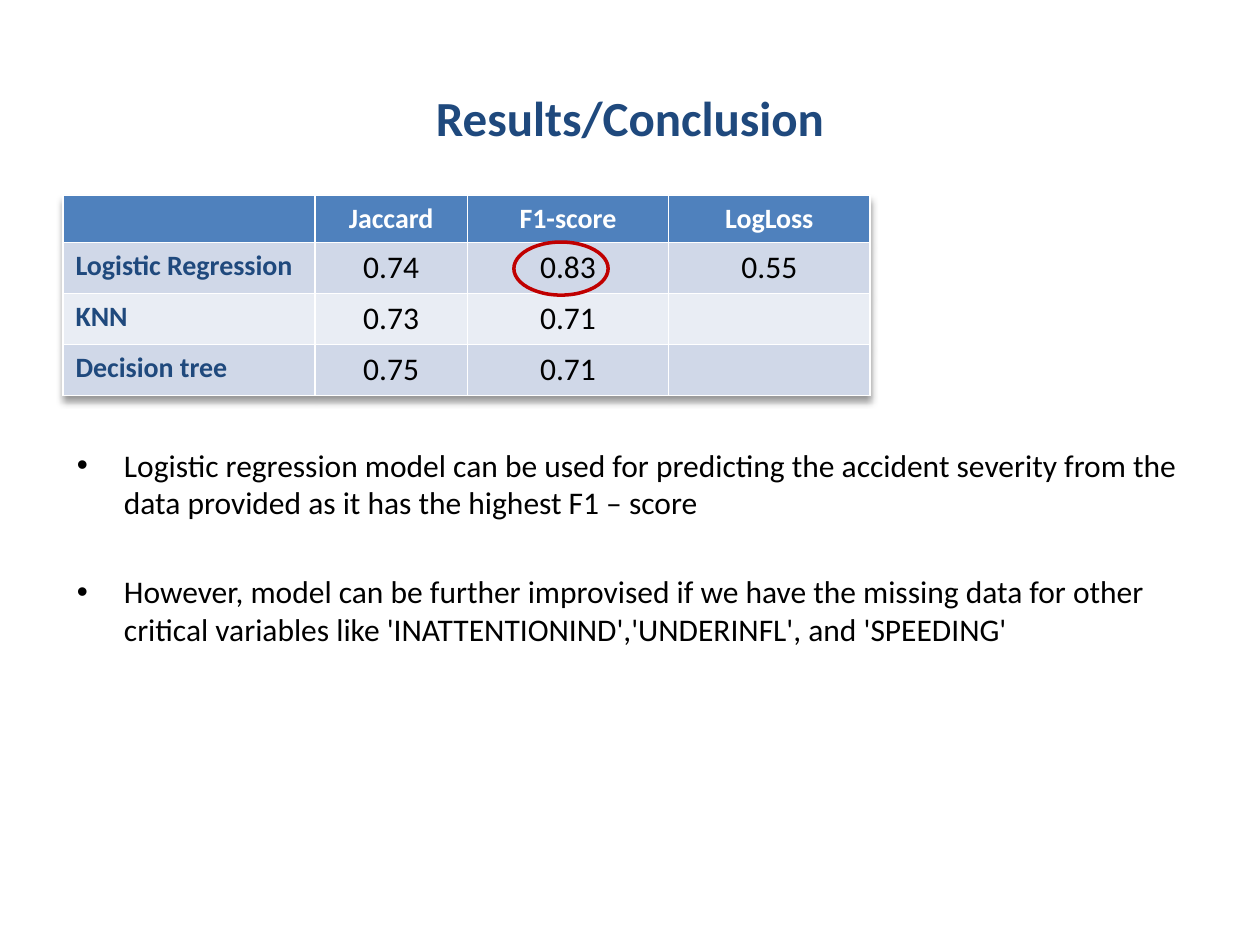
import dataclasses
import typing

import lxml.etree
import pptx
import pptx.dml.color
import pptx.enum.shapes
import pptx.enum.text
import pptx.oxml
import pptx.oxml.ns
import pptx.util

Cm = pptx.util.Cm
Pt = pptx.util.Pt
Align = pptx.enum.text.PP_ALIGN
Anchor = pptx.enum.text.MSO_ANCHOR

NAVY = "1F497D"
BLUE = "4F81BD"
BANDS = ("D0D8E8", "E9EDF4")
WHITE = "FFFFFF"
BLACK = "000000"
RED = "C00000"

COLUMN_WIDTHS = (5.08, 3.07, 4.06, 4.06)
HEADER_HEIGHT = 0.94
ROW_HEIGHT = 1.03
HEADERS = ("", "Jaccard", "F1-score", "LogLoss")
CONCLUSIONS = (
    "Logistic regression model can be used for predicting the accident severity "
    "from the data provided as it has the highest F1 – score",
    "However, model can be further improvised if we have the missing data for other "
    "critical variables like 'INATTENTIONIND','UNDERINFL', and 'SPEEDING'",
)


@dataclasses.dataclass(frozen=True)
class Result:
    model: str
    scores: typing.Tuple[str, str, str]


RESULTS = (
    Result("Logistic Regression", ("0.74", "0.83", "0.55")),
    Result("KNN", ("0.73", "0.71", "")),
    Result("Decision tree", ("0.75", "0.71", "")),
)


def color(value: str) -> pptx.dml.color.RGBColor:
    return pptx.dml.color.RGBColor.from_string(value)


def write(para, text: str, *, size: float = 18, fill: str = BLACK,
          bold: bool = False, align=Align.LEFT) -> None:
    para.alignment = align
    span = para.add_run()
    span.text = text
    span.font.name = "Calibri"
    span.font.size = Pt(size)
    span.font.bold = bold
    span.font.color.rgb = color(fill)


def fill_cell(cell, text: str, background: str, anchor=Anchor.TOP, **style) -> None:
    cell.fill.solid()
    cell.fill.fore_color.rgb = color(background)
    cell.vertical_anchor = anchor
    if text:
        write(cell.text_frame.paragraphs[0], text, **style)
    else:
        cell.margin_top = 0


def add_table_shadow(table) -> None:
    effects = pptx.oxml.parse_xml(
        f'<a:effectLst {pptx.oxml.ns.nsdecls("a")}>'
        '<a:outerShdw blurRad="50800" dist="38100" dir="5400000" algn="t" rotWithShape="0">'
        '<a:srgbClr val="000000"><a:alpha val="40000"/></a:srgbClr>'
        '</a:outerShdw></a:effectLst>')
    table._tbl.tblPr.insert(0, effects)


def add_results(page) -> None:
    table = page.shapes.add_table(
        len(RESULTS) + 1, len(HEADERS), Cm(1.27), Cm(3.94), Cm(sum(COLUMN_WIDTHS)),
        Cm(HEADER_HEIGHT + ROW_HEIGHT * len(RESULTS))).table
    for column, width in zip(table.columns, COLUMN_WIDTHS):
        column.width = Cm(width)
    for index, row in enumerate(table.rows):
        row.height = Cm(ROW_HEIGHT if index else HEADER_HEIGHT)
    for index, header in enumerate(HEADERS):
        fill_cell(table.cell(0, index), header, BLUE, Anchor.MIDDLE,
                  size=16, fill=WHITE, bold=True, align=Align.CENTER)
    for number, result in enumerate(RESULTS, 1):
        band = BANDS[(number - 1) % 2]
        fill_cell(table.cell(number, 0), result.model, band, size=16, fill=NAVY, bold=True)
        for index, score in enumerate(result.scores, 1):
            fill_cell(table.cell(number, index), score, band, align=Align.CENTER)
    add_table_shadow(table)


def add_highlight(page) -> None:
    ring = page.shapes.add_shape(pptx.enum.shapes.MSO_SHAPE.OVAL,
                                 Cm(10.36), Cm(4.88), Cm(1.9), Cm(1.07))
    ring.shadow.inherit = False
    ring.fill.background()
    ring.line.color.rgb = color(RED)
    ring.line.width = Pt(2)


def add_bullet(para) -> None:
    properties = para._p.get_or_add_pPr()
    properties.set("marL", str(Cm(0.95)))
    properties.set("indent", str(-Cm(0.95)))
    namespace = pptx.oxml.ns.qn
    lxml.etree.SubElement(properties, namespace("a:buFont")).set("typeface", "Arial")
    lxml.etree.SubElement(properties, namespace("a:buChar")).set("char", "•")


def add_conclusions(page) -> None:
    box = page.shapes.add_textbox(Cm(1.3), Cm(8.86), Cm(22.86), Cm(9.09))
    frame = box.text_frame
    frame.word_wrap = True
    for index, text in enumerate(CONCLUSIONS):
        para = frame.add_paragraph() if index else frame.paragraphs[0]
        para.space_before = Pt(29.2 if index else 0)
        write(para, text)
        add_bullet(para)


def add_title(page) -> None:
    title = page.shapes.title
    title.left, title.top, title.width, title.height = Cm(1.27), Cm(0.76), Cm(22.86), Cm(3.18)
    title.text_frame.vertical_anchor = Anchor.MIDDLE
    write(title.text_frame.paragraphs[0], "Results/Conclusion",
          size=28, fill=NAVY, bold=True, align=Align.CENTER)


def main() -> None:
    deck = pptx.Presentation()
    deck.slide_width, deck.slide_height = Cm(25.4), Cm(19.05)
    page = deck.slides.add_slide(deck.slide_layouts.get_by_name("Title Only"))
    add_title(page)
    add_results(page)
    add_highlight(page)
    add_conclusions(page)
    deck.save("out.pptx")


if __name__ == "__main__":
    main()
